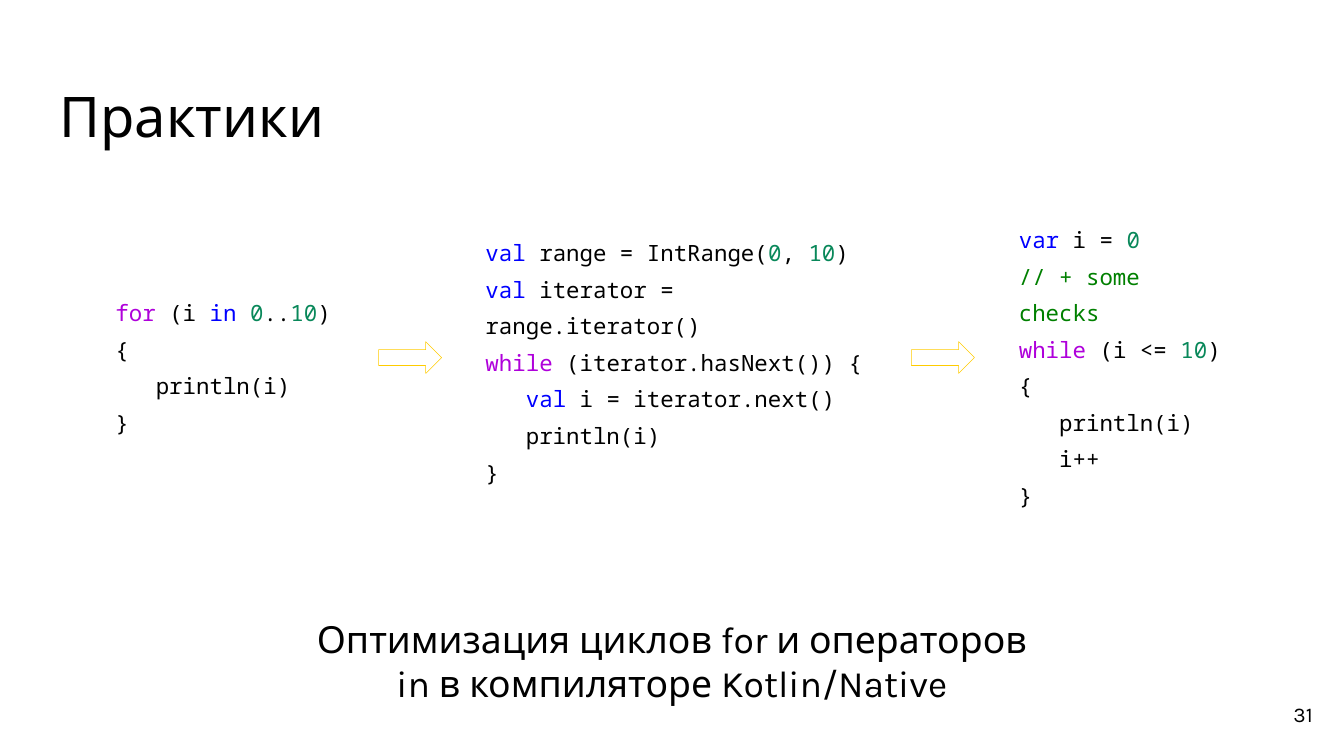
from dataclasses import dataclass
from typing import NamedTuple

from pptx import Presentation
from pptx.dml.color import RGBColor
from pptx.enum.shapes import MSO_SHAPE
from pptx.enum.text import MSO_ANCHOR, PP_ALIGN
from pptx.slide import Slide
from pptx.util import Inches, Pt

RIGHT_ARROW = MSO_SHAPE.RIGHT_ARROW
TOP, MIDDLE = MSO_ANCHOR.TOP, MSO_ANCHOR.MIDDLE
LEFT, CENTER, RIGHT = PP_ALIGN.LEFT, PP_ALIGN.CENTER, PP_ALIGN.RIGHT

BLACK = RGBColor(0x00, 0x00, 0x00)
BLUE = RGBColor(0x00, 0x00, 0xFF)
PURPLE = RGBColor(0xAF, 0x00, 0xDB)
TEAL = RGBColor(0x09, 0x88, 0x5A)
GREEN = RGBColor(0x00, 0x80, 0x00)
YELLOW = RGBColor(0xFF, 0xCC, 0x00)

TEXT_FONT = "Karla"
CODE_FONT = "Noto Sans Mono"
CODE_SIZE = 32
CODE_SPACING = 1.36
INSET = Inches(0.27)


class Span(NamedTuple):
    """A piece of text in one colour."""

    text: str
    color: RGBColor = BLACK


Line = tuple[Span, ...]


class Box(NamedTuple):
    """A position and size in inches."""

    left: float
    top: float
    width: float
    height: float


@dataclass(frozen=True)
class TextBlock:
    """Lines of text that share one format."""

    box: Box
    lines: tuple[Line, ...]
    size: float = CODE_SIZE
    font: str = CODE_FONT
    alignment: PP_ALIGN = LEFT
    anchor: MSO_ANCHOR = MIDDLE
    spacing: float | Pt | None = CODE_SPACING


PRINT_LINE: Line = (Span("   println(i)"),)
CLOSING_LINE: Line = (Span("}"),)

TITLE = TextBlock(
    Box(0.91, 1.3, 24.85, 1.67), ((Span("Практики"),),),
    size=80, font=TEXT_FONT, anchor=TOP, spacing=Pt(100),
)
CAPTION = TextBlock(
    Box(5.65, 11.95, 15.36, 1.99),
    ((Span("Оптимизация циклов for и операторов in в компиляторе Kotlin/Native"),),),
    size=53.3, font=TEXT_FONT, alignment=CENTER, anchor=TOP, spacing=None,
)
PAGE_NUMBER = TextBlock(
    Box(24.71, 13.6, 1.6, 1.15), ((Span("31"),),),
    size=30, font=TEXT_FONT, alignment=RIGHT, spacing=None,
)
FOR_LOOP = TextBlock(
    Box(2.02, 4.99, 4.89, 4.41),
    (
        (Span("for", PURPLE), Span(" (i "), Span("in ", BLUE), Span("0", TEAL),
         Span(".."), Span("10", TEAL), Span(") {")),
        PRINT_LINE,
        CLOSING_LINE,
    ),
)
ITERATOR_LOOP = TextBlock(
    Box(9.36, 4.01, 8.12, 6.17),
    (
        (Span("val", BLUE), Span(" range = IntRange("), Span("0", TEAL),
         Span(", "), Span("10", TEAL), Span(")")),
        (Span("val", BLUE), Span(" iterator = range.iterator()")),
        (Span("while", PURPLE), Span(" (iterator.hasNext()) {")),
        (Span("   "), Span("val", BLUE), Span(" i = iterator.next()")),
        PRINT_LINE,
        CLOSING_LINE,
    ),
)
COUNTER_LOOP = TextBlock(
    Box(19.94, 4.18, 4.71, 6.03),
    (
        (Span("var", BLUE), Span(" i = "), Span("0", TEAL)),
        (Span("// + some checks", GREEN),),
        (Span("while", PURPLE), Span(" (i <= "), Span("10", TEAL), Span(") {")),
        PRINT_LINE,
        (Span("   i++"),),
        CLOSING_LINE,
    ),
)
TEXT_BLOCKS = (TITLE, PAGE_NUMBER, FOR_LOOP, ITERATOR_LOOP, COUNTER_LOOP, CAPTION)
ARROWS = tuple(Box(left, 6.78, 1.25, 0.63) for left in (7.51, 18.08))


def set_attributes(target: object, values: dict[str, object]) -> None:
    """Set each named attribute of the target."""
    for name, value in values.items():
        setattr(target, name, value)


def add_text_block(slide: Slide, block: TextBlock) -> None:
    """Draw a text box with its coloured lines."""
    shape = slide.shapes.add_textbox(*map(Inches, block.box))
    frame = shape.text_frame
    margins = {f"margin_{side}": INSET for side in ("left", "top", "right", "bottom")}
    set_attributes(
        frame, {"word_wrap": True, "vertical_anchor": block.anchor, **margins}
    )
    for index, line in enumerate(block.lines):
        paragraph = frame.add_paragraph() if index else frame.paragraphs[0]
        set_attributes(
            paragraph, {"alignment": block.alignment, "line_spacing": block.spacing}
        )
        for span in line:
            run = paragraph.add_run()
            run.text = span.text
            set_attributes(run.font, {"name": block.font, "size": Pt(block.size)})
            run.font.color.rgb = span.color


def add_arrow(slide: Slide, box: Box) -> None:
    """Draw an outlined arrow between two code blocks."""
    shape = slide.shapes.add_shape(RIGHT_ARROW, *map(Inches, box))
    shape.shadow.inherit = False
    shape.fill.background()
    shape.line.color.rgb = YELLOW
    shape.line.width = Pt(0.75)


def main() -> None:
    """Build and save the slide."""
    presentation = Presentation()
    set_attributes(
        presentation, {"slide_width": Inches(26.66), "slide_height": Inches(15)}
    )
    slide = presentation.slides.add_slide(presentation.slide_layouts[6])
    for block in TEXT_BLOCKS:
        add_text_block(slide, block)
    for box in ARROWS:
        add_arrow(slide, box)
    presentation.save("out.pptx")


if __name__ == "__main__":
    main()
